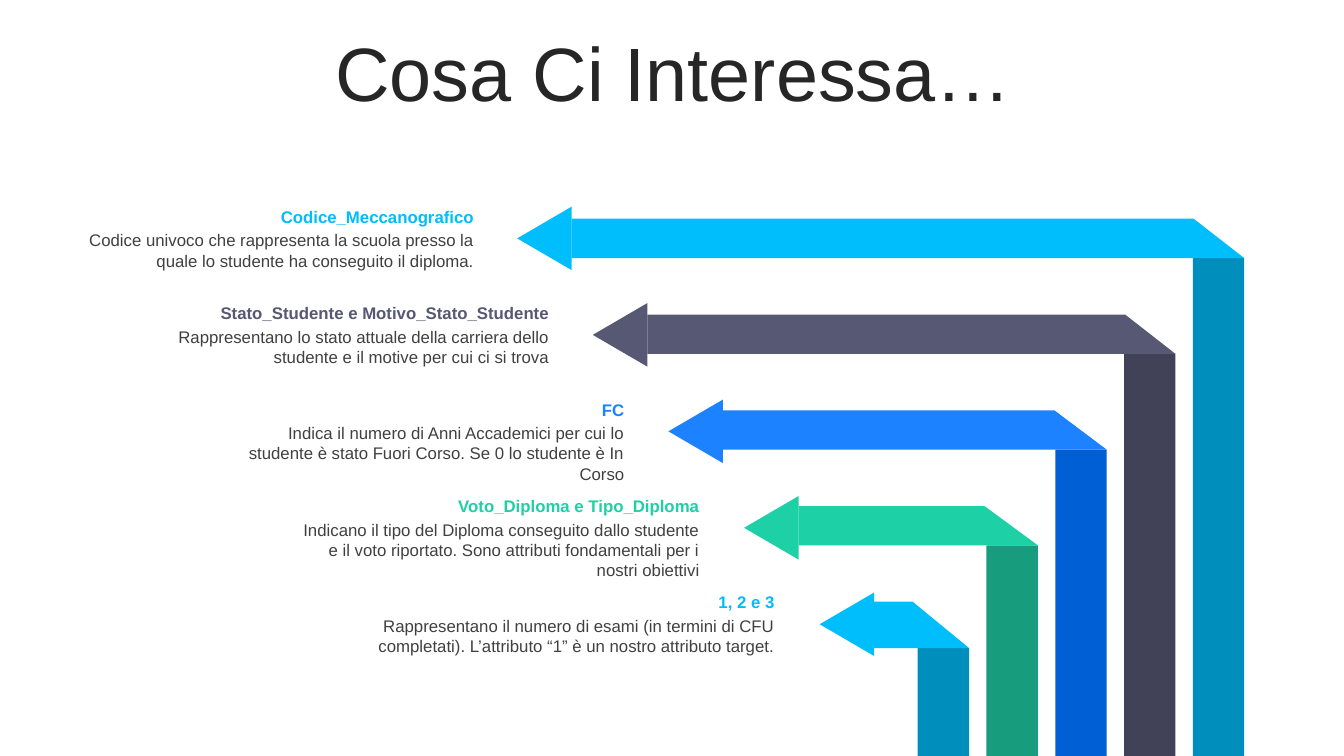
from pptx import Presentation
from pptx.dml.color import RGBColor
from pptx.enum.shapes import MSO_SHAPE
from pptx.enum.text import MSO_ANCHOR, PP_ALIGN
from pptx.util import Inches, Pt

RECTANGLE = MSO_SHAPE.RECTANGLE
TRIANGLE = MSO_SHAPE.ISOSCELES_TRIANGLE
TOP, MIDDLE = MSO_ANCHOR.TOP, MSO_ANCHOR.MIDDLE
CENTER, RIGHT = PP_ALIGN.CENTER, PP_ALIGN.RIGHT

FONT = "Arial"
TITLE_COLOR = RGBColor(0x26, 0x26, 0x26)
BODY_COLOR = RGBColor(0x40, 0x40, 0x40)
CYAN, DARK_CYAN = RGBColor(0x00, 0xBD, 0xFB), RGBColor(0x00, 0x8E, 0xBC)
SLATE, DARK_SLATE = RGBColor(0x56, 0x58, 0x74), RGBColor(0x41, 0x42, 0x57)
BLUE, DARK_BLUE = RGBColor(0x1C, 0x82, 0xFF), RGBColor(0x00, 0x5F, 0xD4)
GREEN, DARK_GREEN = RGBColor(0x1E, 0xD0, 0xA6), RGBColor(0x17, 0x9C, 0x7D)

SLIDE_WIDTH, SLIDE_HEIGHT = 13.33, 7.5
HEAD_LENGTH, HEAD_SPAN = 0.54, 0.63
COLUMN_WIDTH = 0.51
LABEL_WIDTH = 4.15

# Heading, description, band colour, column colour, band height, fold width
ATTRIBUTES = [
    ("Codice_Meccanografico",
     "Codice univoco che rappresenta la scuola presso la quale lo studente "
     "ha conseguito il diploma.", CYAN, DARK_CYAN, 0.39, 0.5),
    ("Stato_Studente e Motivo_Stato_Studente",
     "Rappresentano lo stato attuale della carriera dello studente e il "
     "motive per cui ci si trova", SLATE, DARK_SLATE, 0.39, 0.5),
    ("FC",
     "Indica il numero di Anni Accademici per cui lo studente è stato Fuori "
     "Corso. Se 0 lo studente è In Corso", BLUE, DARK_BLUE, 0.39, 0.52),
    ("Voto_Diploma e Tipo_Diploma",
     "Indicano il tipo del Diploma conseguito dallo studente e il voto "
     "riportato. Sono attributi fondamentali per i nostri obiettivi",
     GREEN, DARK_GREEN, 0.39, 0.53),
    ("1, 2 e 3",
     "Rappresentano il numero di esami (in termini di CFU completati). "
     "L’attributo “1” è un nostro attributo target.",
     CYAN, DARK_CYAN, 0.46, 0.56),
]


def paint(shape, color):
    shape.shadow.inherit = False
    shape.fill.solid()
    shape.fill.fore_color.rgb = color
    shape.line.fill.background()


def add_text(slide, box, text, size, color, align, bold=False, anchor=TOP):
    text_box = slide.shapes.add_textbox(*(Inches(length) for length in box))
    frame = text_box.text_frame
    frame.word_wrap = True
    frame.vertical_anchor = anchor
    paragraph = frame.paragraphs[0]
    paragraph.alignment = align
    run = paragraph.add_run()
    run.text = text
    run.font.name = FONT
    run.font.size = Pt(size)
    run.font.bold = bold
    run.font.color.rgb = color
    return paragraph


def add_title(slide, box):
    paragraph = add_text(slide, box, "Cosa Ci Interessa…", 54, TITLE_COLOR,
                         CENTER, anchor=MIDDLE)
    paragraph.line_spacing = 0.9


def add_label(slide, left, top, heading, description, color):
    add_text(slide, (left, top, LABEL_WIDTH, 0.3), heading, 12, color,
             RIGHT, bold=True)
    add_text(slide, (left, top + 0.235, LABEL_WIDTH, 0.5), description, 12,
             BODY_COLOR, RIGHT)


def add_folded_arrow(slide, tip, right, top, band_height, fold, color, shade):
    """Column from the slide's bottom edge, folded into a left arrow."""
    bottom = top + band_height
    base = tip + HEAD_LENGTH

    # Vertical column
    column = slide.shapes.add_shape(
        RECTANGLE, Inches(right - COLUMN_WIDTH), Inches(bottom),
        Inches(COLUMN_WIDTH), Inches(SLIDE_HEIGHT - bottom))
    paint(column, shade)

    # Horizontal band with a slanted fold
    corners = [(base, top), (right - fold, top), (right, bottom),
               (base, bottom)]
    points = [(Inches(x), Inches(y)) for x, y in corners]
    builder = slide.shapes.build_freeform(*points[0])
    builder.add_line_segments(points[1:], close=True)
    paint(builder.convert_to_shape(), color)


def add_arrow_head(slide, tip, middle, color):
    # The triangle is turned left about its centre
    head = slide.shapes.add_shape(
        TRIANGLE, Inches(tip + (HEAD_LENGTH - HEAD_SPAN) / 2),
        Inches(middle - HEAD_LENGTH / 2),
        Inches(HEAD_SPAN), Inches(HEAD_LENGTH))
    head.rotation = 270
    paint(head, color)


def add_attributes(slide, left, top):
    for index, attribute in enumerate(ATTRIBUTES):
        heading, description, color, shade, band_height, fold = attribute
        tip = left + 4.48 + 0.75 * index
        add_label(slide, left + 0.745 * index, top + 0.956 * index,
                  heading, description, color)
        add_folded_arrow(slide, tip, left + 11.69 - 0.682 * index,
                         top + 0.17 + 0.95 * index, band_height, fold,
                         color, shade)
        add_arrow_head(slide, tip, top + 0.365 + 0.957 * index, color)


def main():
    presentation = Presentation()
    presentation.slide_width = Inches(SLIDE_WIDTH)
    presentation.slide_height = Inches(SLIDE_HEIGHT)
    slide = presentation.slides.add_slide(presentation.slide_layouts[6])
    add_title(slide, (0.35, 0.37, 12.66, 0.79))
    add_attributes(slide, 0.65, 2)
    presentation.save("out.pptx")


if __name__ == "__main__":
    main()
